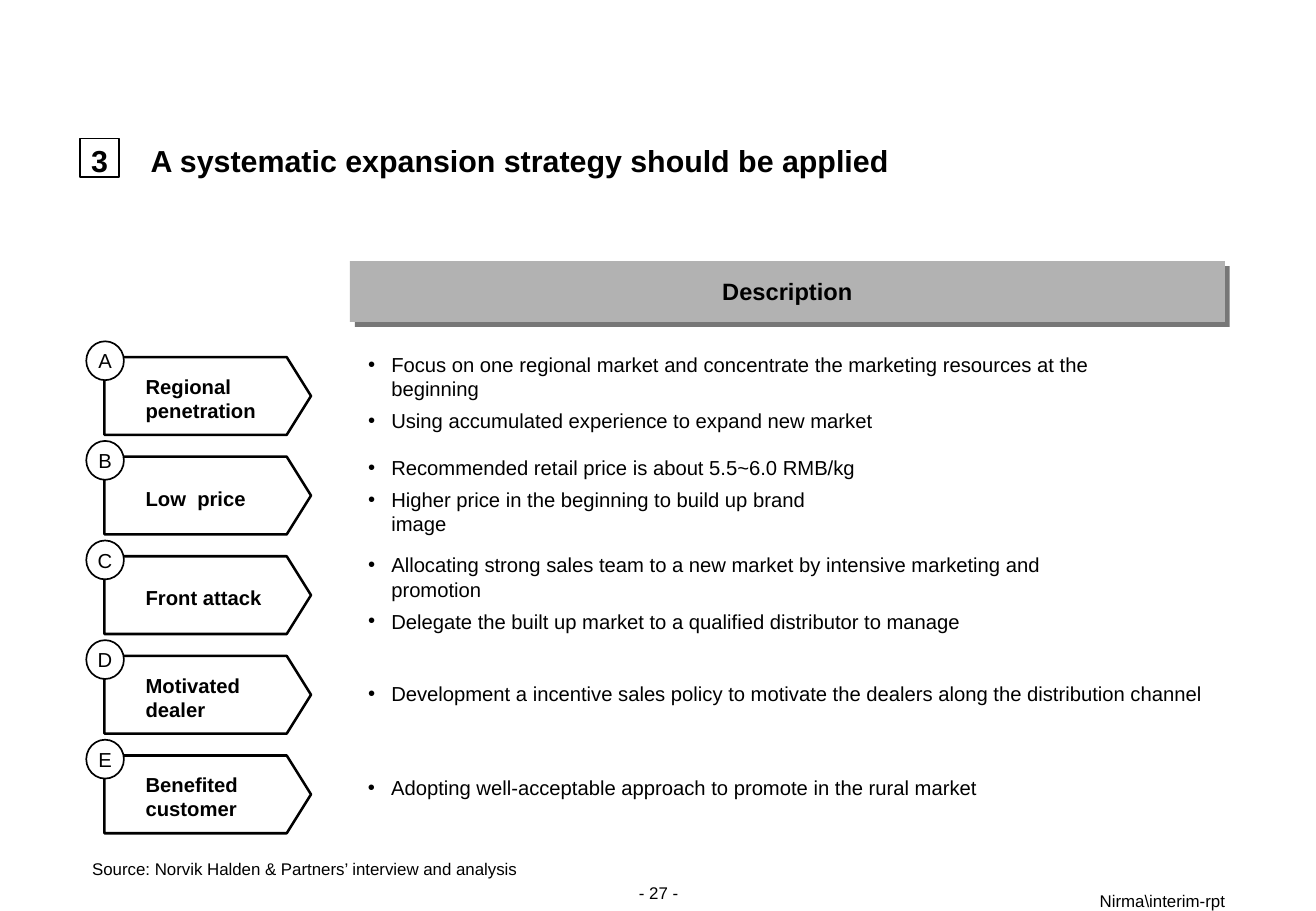
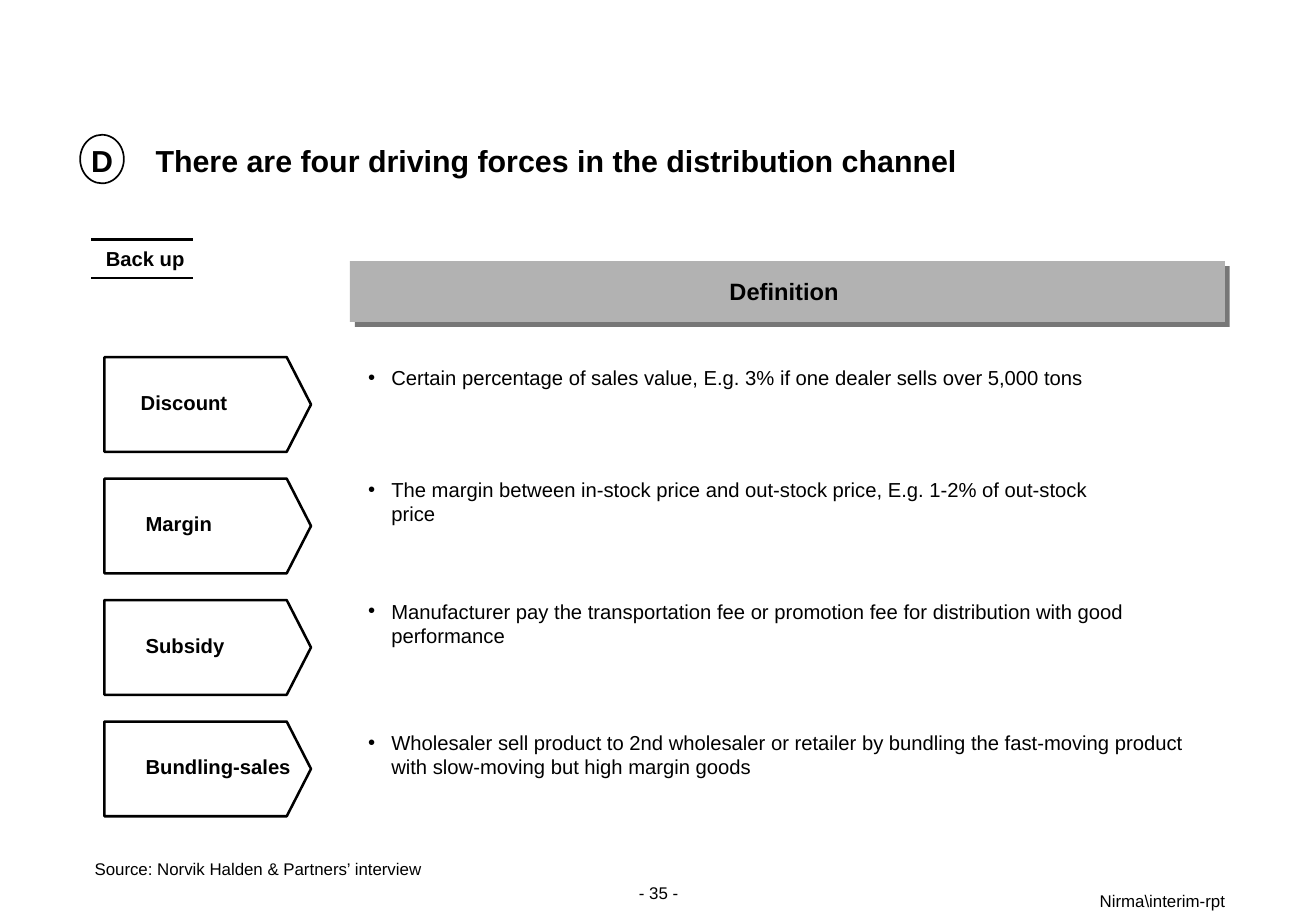
from dataclasses import dataclass
from typing import Iterator, Optional

from lxml import etree
from pptx import Presentation
from pptx.dml.color import RGBColor
from pptx.enum.shapes import MSO_CONNECTOR, MSO_SHAPE
from pptx.enum.text import MSO_ANCHOR, MSO_AUTO_SIZE, PP_ALIGN
from pptx.oxml.ns import qn
from pptx.util import Inches, Pt

RECTANGLE, OVAL = MSO_SHAPE.RECTANGLE, MSO_SHAPE.OVAL
STRAIGHT = MSO_CONNECTOR.STRAIGHT
TOP, MIDDLE, BOTTOM = MSO_ANCHOR.TOP, MSO_ANCHOR.MIDDLE, MSO_ANCHOR.BOTTOM
LEFT, CENTER, RIGHT = PP_ALIGN.LEFT, PP_ALIGN.CENTER, PP_ALIGN.RIGHT
COMPARISON_LAYOUT = 4


@dataclass(frozen=True)
class Theme:
    font: str = "Arial"
    ink: str = "000000"
    paper: str = "FFFFFF"
    band: str = "B2B2B2"
    shadow: str = "777777"
    title: float = 18
    heading: float = 14
    body: float = 12
    small: float = 10
    thin: float = 1
    thick: float = 1.5
    bullet_gap: float = 4.5


THEME = Theme()


@dataclass(frozen=True)
class Box:
    left: float
    top: float
    width: float
    height: float


@dataclass(frozen=True)
class Row:
    label: str
    bullets: tuple[str, ...]
    list_width: float
    list_drop: float
    letter: str = ""
    label_lines: int = 1
    label_left: float = 1.1


@dataclass(frozen=True)
class PageSpec:
    marker: str
    marker_shape: MSO_SHAPE
    marker_box: Box
    title: str
    title_tab: float
    heading: str
    pitch: float
    arrow_height: float
    label_shift: float
    source: str
    source_box: Box
    number: str
    rows: tuple[Row, ...]
    tag: str = ""


# Grid shared by both pages, in inches
SLIDE_WIDTH, SLIDE_HEIGHT = 10.83, 7.5
TITLE_BOX = Box(0.75, 1.19, 9.3, 0.67)
HEADING_BOX = Box(2.88, 2.15, 7.2, 0.5)
NUMBER_BOX = Box(4.85, 7.27, 1.14, 0.17)
FOOTER_BOX = Box(6.64, 7.33, 3.44, 0.17)
TAG_BOX = Box(0.77, 1.98, 0.85, 0.3)
TAG_LEFT, TAG_RIGHT = 0.75, 1.59
TAG_RULES = (1.97, 2.29)
FIRST_ROW = 2.94
ARROW_LEFT, ARROW_SHOULDER, ARROW_TIP = 0.86, 2.36, 2.56
LABEL_WIDTH = 1.41
LIST_LEFT = 2.93
LINE_HEIGHT, PADDING, BULLET_INDENT = 0.2, 0.1, 0.19
FOOTER = "Nirma\\interim-rpt"

PAGES = (
    PageSpec(
        "3", RECTANGLE, Box(0.66, 1.14, 0.32, 0.32),
        "A systematic expansion strategy should be applied", 0.49,
        "Description", 0.82, 0.64, 0.02,
        "Source: Norvik Halden & Partners’ interview and analysis",
        Box(0.66, 7.02, 3.72, 0.27), "- 27 -",
        (
            Row("Regional penetration", (
                "Focus on one regional market and concentrate the marketing resources at the beginning",
                "Using accumulated experience to expand new market",
            ), 6.9, 0.01, "A", 2),
            Row("Low  price", (
                "Recommended retail price is about 5.5~6.0 RMB/kg",
                "Higher price in the beginning to build up brand image",
            ), 4.3, 0.04, "B"),
            Row("Front attack", (
                "Allocating strong sales team to a new market by intensive marketing and promotion",
                "Delegate the built up market to a qualified distributor to manage",
            ), 6.52, 0.02, "C"),
            Row("Motivated dealer", (
                "Development a incentive sales policy to motivate the dealers along the distribution channel",
            ), 7.07, 0.16, "D", 2),
            Row("Benefited customer", (
                "Adopting well-acceptable approach to promote in the rural market",
            ), 5.22, 0.11, "E", 2),
        ),
    ),
    PageSpec(
        "D", OVAL, Box(0.66, 1.11, 0.36, 0.4),
        "There are four driving forces in the distribution channel", 0.53,
        "Definition ", 1.0, 0.78, -0.02,
        "Source: Norvik Halden & Partners’ interview",
        Box(0.68, 7.02, 2.91, 0.27), "- 35 -",
        (
            Row("Discount", (
                "Certain percentage of sales value, E.g. 3% if one dealer sells over 5,000 tons",
            ), 6.09, 0.02, label_left=1.06),
            Row("Margin", (
                "The margin between in-stock price and out-stock price, E.g. 1-2% of out-stock price",
            ), 6.53, 0.04),
            Row("Subsidy", (
                "Manufacturer pay the transportation fee or promotion fee for distribution with good performance",
            ), 7.4, 0.04),
            Row("Bundling-sales", (
                "Wholesaler sell product to 2nd wholesaler or retailer by bundling the fast-moving product\n"
                "with slow-moving but high margin goods",
            ), 6.96, 0.02),
        ),
        tag="Back up",
    ),
)


def color(value: str) -> RGBColor:
    return RGBColor.from_string(value)


def corners(box: Box) -> tuple:
    return tuple(Inches(v) for v in (box.left, box.top, box.width, box.height))


def place(shape, box: Box) -> None:
    shape.left, shape.top, shape.width, shape.height = corners(box)


def set_frame(frame, anchor: MSO_ANCHOR, padded: bool = False, wrap: bool = True) -> None:
    frame.word_wrap = wrap
    frame.auto_size = MSO_AUTO_SIZE.NONE if wrap else MSO_AUTO_SIZE.SHAPE_TO_FIT_TEXT
    frame.vertical_anchor = anchor
    frame.margin_left = frame.margin_right = Inches(PADDING if padded else 0)
    frame.margin_top = frame.margin_bottom = Inches(PADDING / 2 if padded else 0)


def add_text(para, text: str, size: float, bold: bool = False, align: PP_ALIGN = LEFT) -> None:
    """Write text as runs, with a line break at each newline."""
    para.alignment = align
    for index, line in enumerate(text.split("\n")):
        if index:
            para.add_line_break()
        span = para.add_run()
        span.text = line
        span.font.name, span.font.size, span.font.bold = THEME.font, Pt(size), bold
        span.font.color.rgb = color(THEME.ink)


def add_label(page, box: Box, text: str, size: float, bold: bool = False, align: PP_ALIGN = LEFT,
              anchor: MSO_ANCHOR = MIDDLE, padded: bool = True, wrap: bool = True) -> None:
    label = page.shapes.add_textbox(*corners(box))
    set_frame(label.text_frame, anchor, padded, wrap)
    add_text(label.text_frame.paragraphs[0], text, size, bold, align)


def paint(shape, fill: str, line_width: Optional[float] = None) -> None:
    shape.shadow.inherit = False
    shape.fill.solid()
    shape.fill.fore_color.rgb = color(fill)
    if line_width is None:
        shape.line.fill.background()
    else:
        shape.line.color.rgb = color(THEME.ink)
        shape.line.width = Pt(line_width)


def add_outline(page, kind: MSO_SHAPE, box: Box):
    shape = page.shapes.add_shape(kind, *corners(box))
    paint(shape, THEME.paper, THEME.thin)
    return shape


def add_title(page, spec: PageSpec) -> None:
    title = page.shapes.title
    place(title, TITLE_BOX)
    set_frame(title.text_frame, TOP)
    para = title.text_frame.paragraphs[0]
    para.line_spacing = Pt(20)
    stops = etree.SubElement(para._p.get_or_add_pPr(), qn("a:tabLst"))
    etree.SubElement(stops, qn("a:tab"), pos=str(Inches(spec.title_tab)), algn="l")
    add_text(para, f"{spec.marker}\t{spec.title}", THEME.title, bold=True)
    marker = add_outline(page, spec.marker_shape, spec.marker_box)
    title.element.addprevious(marker.element)


def add_heading(page, text: str) -> None:
    band = page.shapes.add_shape(RECTANGLE, *corners(HEADING_BOX))
    paint(band, THEME.band)
    effects = band.element.spPr.find(qn("a:effectLst"))
    shadow = etree.SubElement(effects, qn("a:outerShdw"), dist=str(Pt(4.2)),
                              dir="2700000", algn="ctr", rotWithShape="0")
    etree.SubElement(shadow, qn("a:srgbClr"), val=THEME.shadow)
    set_frame(band.text_frame, MIDDLE)
    add_text(band.text_frame.paragraphs[0], text, THEME.heading, True, CENTER)


def add_arrow(page, top: float, height: float) -> None:
    points = ((ARROW_SHOULDER, top), (ARROW_TIP, top + height / 2),
              (ARROW_SHOULDER, top + height), (ARROW_LEFT, top + height))
    outline = page.shapes.build_freeform(Inches(ARROW_LEFT), Inches(top))
    outline.add_line_segments([(Inches(x), Inches(y)) for x, y in points], close=True)
    paint(outline.convert_to_shape(), THEME.paper, THEME.thick)


def add_letter(page, letter: str, top: float) -> None:
    circle = add_outline(page, OVAL, Box(0.71, top - 0.13, 0.31, 0.32))
    set_frame(circle.text_frame, MIDDLE)
    add_text(circle.text_frame.paragraphs[0], letter, THEME.body, align=CENTER)


def add_bullet(para) -> None:
    props = para._p.get_or_add_pPr()
    props.set("marL", str(Inches(BULLET_INDENT)))
    props.set("indent", str(-Inches(BULLET_INDENT)))
    tint = etree.SubElement(props, qn("a:buClr"))
    etree.SubElement(tint, qn("a:srgbClr"), val=THEME.ink)
    etree.SubElement(props, qn("a:buFont"), typeface=THEME.font)
    etree.SubElement(props, qn("a:buChar"), char="•")


def add_list(page, slots: Iterator, row: Row, top: float) -> None:
    """Fill the next free body placeholder, or a text box once all are used."""
    lines = sum(text.count("\n") + 1 for text in row.bullets)
    gaps = (len(row.bullets) - 1) * THEME.bullet_gap / 72
    box = Box(LIST_LEFT, top + row.list_drop, row.list_width, lines * LINE_HEIGHT + gaps + PADDING)
    holder = next(slots, None)
    if holder is None:
        holder = page.shapes.add_textbox(*corners(box))
    place(holder, box)
    frame = holder.text_frame
    set_frame(frame, MIDDLE, padded=True, wrap=False)
    for index, text in enumerate(row.bullets):
        para = frame.add_paragraph() if index else frame.paragraphs[0]
        add_bullet(para)
        para.space_before = Pt(THEME.bullet_gap if index else 0)
        add_text(para, text, THEME.body)


def add_tag(page, text: str) -> None:
    for y in TAG_RULES:
        rule = page.shapes.add_connector(STRAIGHT, Inches(TAG_LEFT), Inches(y), Inches(TAG_RIGHT), Inches(y))
        rule.line.color.rgb = color(THEME.ink)
        rule.line.width = Pt(THEME.thick)
        etree.SubElement(rule.element.spPr, qn("a:effectLst"))
    add_label(page, TAG_BOX, text, THEME.body, True, CENTER, wrap=False)


def add_page(deck, spec: PageSpec) -> None:
    page = deck.slides.add_slide(deck.slide_layouts[COMPARISON_LAYOUT])
    slots = iter([p for p in page.placeholders if p.placeholder_format.idx])
    add_title(page, spec)
    add_heading(page, spec.heading)
    for index, row in enumerate(spec.rows):
        top = FIRST_ROW + index * spec.pitch
        add_arrow(page, top, spec.arrow_height)
        if row.letter:
            add_letter(page, row.letter, top)
        height = row.label_lines * LINE_HEIGHT + PADDING
        label_top = top + (spec.arrow_height - height) / 2 + spec.label_shift
        add_label(page, Box(row.label_left, label_top, LABEL_WIDTH, height), row.label, THEME.body, True)
        add_list(page, slots, row, top)
    for unused in slots:
        unused.element.getparent().remove(unused.element)
    if spec.tag:
        add_tag(page, spec.tag)
    add_label(page, spec.source_box, spec.source, THEME.small, wrap=False)
    add_label(page, NUMBER_BOX, spec.number, THEME.small, align=CENTER, anchor=TOP, padded=False)
    add_label(page, FOOTER_BOX, FOOTER, THEME.small, align=RIGHT, anchor=BOTTOM, padded=False)


def main() -> None:
    deck = Presentation()
    deck.slide_width, deck.slide_height = Inches(SLIDE_WIDTH), Inches(SLIDE_HEIGHT)
    for spec in PAGES:
        add_page(deck, spec)
    deck.save("out.pptx")


if __name__ == "__main__":
    main()
